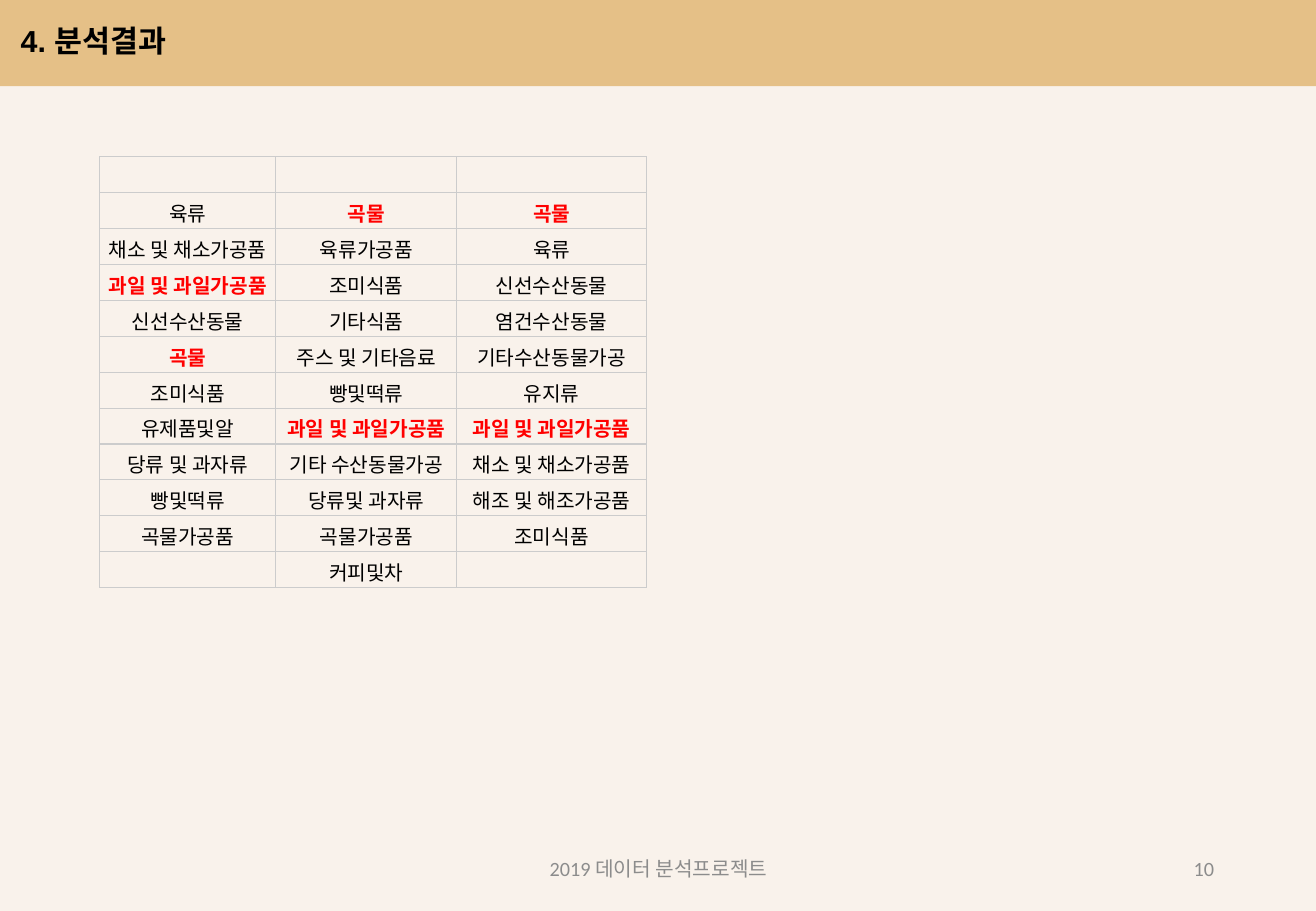
from dataclasses import dataclass

from lxml import etree
from pptx import Presentation
from pptx import util as u
from pptx.dml.color import RGBColor
from pptx.enum import shapes, text
from pptx.oxml.ns import qn


@dataclass(frozen=True)
class Theme:
    background: str = "F9F2EB"
    band: str = "E5C087"
    ink: str = "000000"
    highlight: str = "FF0000"
    muted: str = "8C8C8C"
    border: str = "CCCCCC"
    title_font: str = "Arial"
    body_font: str = "Calibri"
    title_size: int = 18
    body_size: int = 12
    border_width: float = 0.75


THEME = Theme()

COLUMN_WIDTHS = (1.45, 1.49, 1.56)
TABLE_HEIGHT = 3.55
HIGHLIGHTED = {"곡물", "과일 및 과일가공품"}
FOOD_GROUPS = [
    ("", "", ""),
    ("육류", "곡물", "곡물"),
    ("채소 및 채소가공품", "육류가공품", "육류"),
    ("과일 및 과일가공품", "조미식품", "신선수산동물"),
    ("신선수산동물", "기타식품", "염건수산동물"),
    ("곡물", "주스 및 기타음료", "기타수산동물가공"),
    ("조미식품", "빵및떡류", "유지류"),
    ("유제품및알", "과일 및 과일가공품", "과일 및 과일가공품"),
    ("당류 및 과자류", "기타 수산동물가공", "채소 및 채소가공품"),
    ("빵및떡류", "당류및 과자류", "해조 및 해조가공품"),
    ("곡물가공품", "곡물가공품", "조미식품"),
    ("", "커피및차", ""),
]


def rgb(value):
    return RGBColor.from_string(value)


def style_paragraph(p, align, size, font, color, bold=False):
    p.alignment = align
    p.font.size = u.Pt(size)
    p.font.name = font
    p.font.bold = bold
    p.font.color.rgb = rgb(color)


def add_band(slide, width):
    sp = slide.shapes.add_shape(shapes.MSO_SHAPE.RECTANGLE, 0, 0, width, u.Inches(0.71))
    sp.shadow.inherit = False
    sp.fill.solid()
    sp.fill.fore_color.rgb = rgb(THEME.band)
    sp.line.fill.background()
    # The band lies behind the title
    slide.shapes.title._element.addprevious(sp._element)


def set_title(slide, wording):
    title = slide.shapes.title
    title.left, title.top = u.Inches(0.07), u.Inches(0.13)
    title.width, title.height = u.Inches(1.51), u.Inches(0.4)
    tf = title.text_frame
    tf.text = wording
    tf.word_wrap = False
    tf.auto_size = text.MSO_AUTO_SIZE.NONE
    tf.vertical_anchor = text.MSO_ANCHOR.TOP
    style_paragraph(tf.paragraphs[0], text.PP_ALIGN.LEFT, THEME.title_size,
                    THEME.title_font, THEME.ink, bold=True)


def add_footer(slide, wording, left, width, align):
    box = slide.shapes.add_textbox(u.Inches(left), u.Inches(6.95),
                                   u.Inches(width), u.Inches(0.4))
    tf = box.text_frame
    tf.text = wording
    tf.word_wrap = True
    tf.vertical_anchor = text.MSO_ANCHOR.MIDDLE
    style_paragraph(tf.paragraphs[0], align, THEME.body_size, THEME.body_font, THEME.muted)


def set_borders(cell):
    tc_pr = cell._tc.get_or_add_tcPr()
    for side in ("a:lnL", "a:lnR", "a:lnT", "a:lnB"):
        ln = etree.SubElement(tc_pr, qn(side), w=str(u.Pt(THEME.border_width)))
        fill = etree.SubElement(ln, qn("a:solidFill"))
        etree.SubElement(fill, qn("a:srgbClr"), val=THEME.border)


def format_cell(cell, wording):
    set_borders(cell)
    cell.fill.background()
    cell.margin_left = cell.margin_right = u.Inches(0.02)
    cell.margin_top = cell.margin_bottom = u.Inches(0.01)
    cell.vertical_anchor = text.MSO_ANCHOR.BOTTOM
    cell.text = wording
    marked = wording in HIGHLIGHTED
    p = cell.text_frame.paragraphs[0]
    style_paragraph(p, text.PP_ALIGN.CENTER, THEME.body_size, THEME.body_font,
                    THEME.highlight if marked else THEME.ink, bold=marked)
    if not wording:
        # An empty cell takes its line height from the end mark
        etree.SubElement(p._p, qn("a:endParaRPr"), sz=str(THEME.body_size * 100))


def add_food_table(slide):
    frame = slide.shapes.add_table(len(FOOD_GROUPS), len(COLUMN_WIDTHS),
                                   u.Inches(0.82), u.Inches(1.29),
                                   u.Inches(sum(COLUMN_WIDTHS)), u.Inches(TABLE_HEIGHT))
    table = frame.table
    table.first_row = table.horz_banding = False
    for column, width in zip(table.columns, COLUMN_WIDTHS):
        column.width = u.Inches(width)
    for row, wordings in zip(table.rows, FOOD_GROUPS):
        row.height = u.Inches(TABLE_HEIGHT / len(FOOD_GROUPS))
        for cell, wording in zip(row.cells, wordings):
            format_cell(cell, wording)


def main():
    prs = Presentation()
    prs.slide_width, prs.slide_height = u.Inches(10.83), u.Inches(7.5)
    slide = prs.slides.add_slide(prs.slide_layouts.get_by_name("Title Only"))
    slide.background.fill.solid()
    slide.background.fill.fore_color.rgb = rgb(THEME.background)

    # Header
    set_title(slide, "4. 분석결과")
    add_band(slide, prs.slide_width)

    # Food groups
    add_food_table(slide)

    # Footer and page number
    add_footer(slide, "2019 데이터 분석프로젝트", 3.59, 3.66, text.PP_ALIGN.CENTER)
    add_footer(slide, "10", 7.65, 2.44, text.PP_ALIGN.RIGHT)

    prs.save("out.pptx")


if __name__ == "__main__":
    main()
